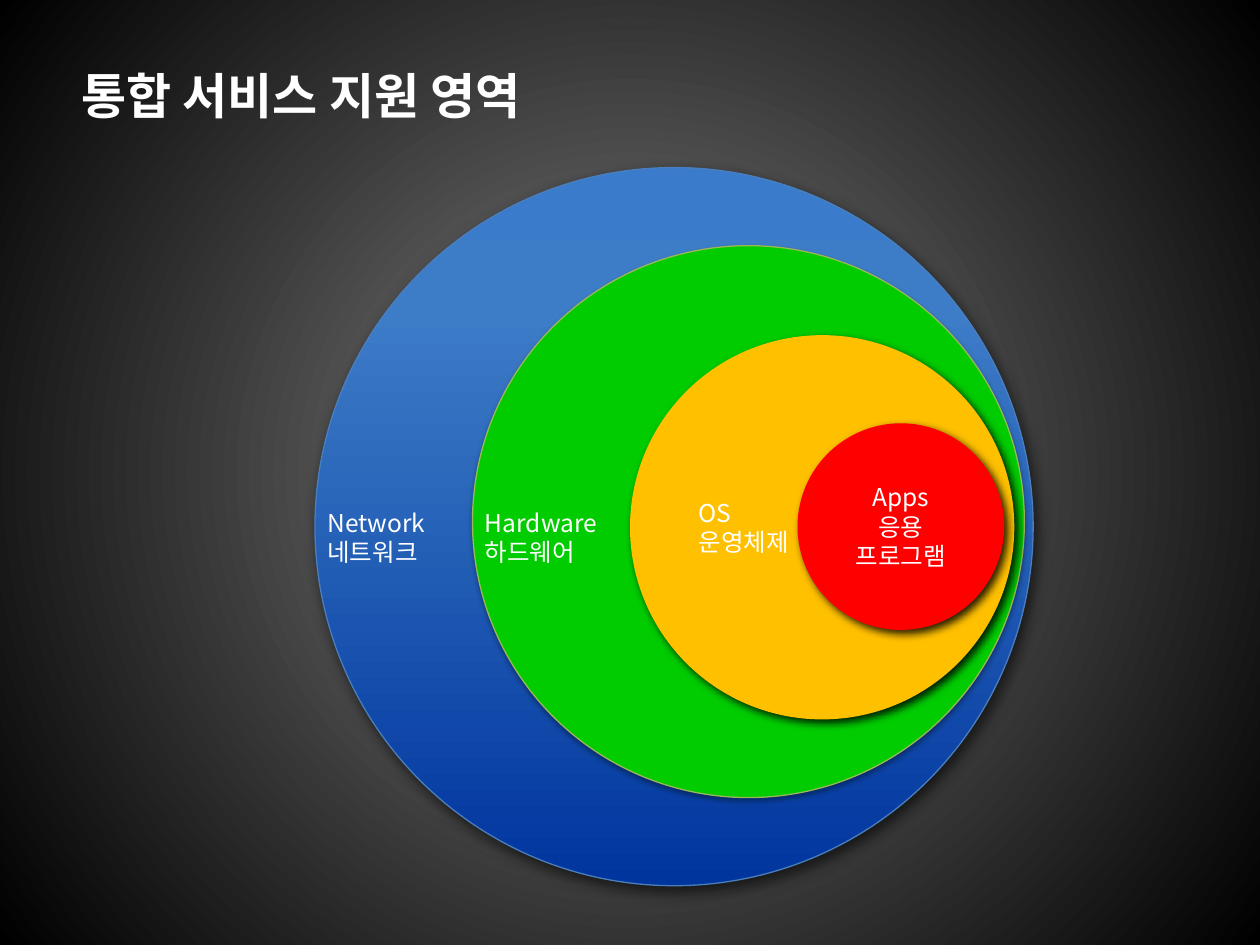
from lxml import etree
from pptx import Presentation
from pptx.dml.color import RGBColor
from pptx.enum.shapes import MSO_SHAPE
from pptx.enum.text import MSO_ANCHOR, MSO_AUTO_SIZE, PP_ALIGN
from pptx.oxml.ns import qn
from pptx.util import Inches, Pt

OVAL = MSO_SHAPE.OVAL
MIDDLE = MSO_ANCHOR.MIDDLE
GROW = MSO_AUTO_SIZE.SHAPE_TO_FIT_TEXT
LEFT, CENTER = PP_ALIGN.LEFT, PP_ALIGN.CENTER
FONT = "Noto Sans CJK KR"
WHITE = "FFFFFF"
DEEP_SHADOW = (84, 5, 3, 45)


def color(value):
    return RGBColor.from_string(value)


def add_element(parent, tag, **attributes):
    values = {name: str(value) for name, value in attributes.items()}
    return etree.SubElement(parent, qn(tag), values)


def set_gradient(fill_element, stops):
    stop_list = fill_element.find(qn("a:gsLst"))
    for stop in list(stop_list):
        stop_list.remove(stop)
    for position, value in stops:
        stop = add_element(stop_list, "a:gs", pos=position * 1000)
        add_element(stop, "a:srgbClr", val=value)


def set_background(slide):
    fill = slide.background.fill
    fill.gradient()
    gradient = slide.element.find(".//" + qn("a:gradFill"))
    set_gradient(gradient, [(0, "7F7F7F"), (100, "000000")])
    gradient.remove(gradient.find(qn("a:lin")))
    circle = add_element(gradient, "a:path", path="circle")
    add_element(circle, "a:fillToRect", l=50000, t=50000, r=50000, b=50000)


def set_shadow(shape, opacity, blur, distance, angle):
    shape.shadow.inherit = False
    effects = shape.element.spPr.find(qn("a:effectLst"))
    shadow = add_element(effects, "a:outerShdw", blurRad=Pt(blur), dist=Pt(distance),
                         dir=angle * 60000, algn="ctr", rotWithShape=0)
    shade = add_element(shadow, "a:srgbClr", val="000000")
    add_element(shade, "a:alpha", val=opacity * 1000)


def write_text(frame, text, size=14, bold=False, alignment=LEFT):
    frame.word_wrap = True
    frame.text = text
    for paragraph in frame.paragraphs:
        paragraph.alignment = alignment
        font = paragraph.font
        font.size, font.bold, font.name = Pt(size), bold, FONT
        font.color.rgb = color(WHITE)
        properties = paragraph._p.pPr.find(qn("a:defRPr"))
        add_element(properties, "a:ea", typeface=FONT)


def add_circle(slide, left, top, diameter, fill, shadow, line=None):
    circle = slide.shapes.add_shape(OVAL, Inches(left), Inches(top),
                                    Inches(diameter), Inches(diameter))
    if isinstance(fill, str):
        circle.fill.solid()
        circle.fill.fore_color.rgb = color(fill)
    else:
        circle.fill.gradient()
        circle.fill.gradient_angle = 90
        set_gradient(circle.element.spPr.find(qn("a:gradFill")), fill)
    if line:
        circle.line.color.rgb = color(line)
        circle.line.width = Pt(0.75)
    else:
        circle.line.fill.background()
    set_shadow(circle, *shadow)
    return circle


def label_circle(circle, text, alignment):
    circle.text_frame.vertical_anchor = MIDDLE
    write_text(circle.text_frame, text, alignment=alignment)


def add_label(slide, left, top, width, height, text, **style):
    box = slide.shapes.add_textbox(Inches(left), Inches(top), Inches(width), Inches(height))
    write_text(box.text_frame, text, **style)
    box.text_frame.auto_size = GROW


def main():
    presentation = Presentation()
    presentation.slide_width, presentation.slide_height = Inches(10), Inches(7.5)
    slide = presentation.slides.add_slide(presentation.slide_layouts[6])
    set_background(slide)

    network_fill = [(0, "00359E"), (80, "3D7CC7"), (100, "3A7CCB")]
    add_circle(slide, 2.5, 1.33, 5.7, network_fill, (62, 8, 4, 60), "4B7EBC")
    add_circle(slide, 3.75, 1.95, 4.38, "00CC00", (35, 3.1, 1.8, 90), "98B955")
    system = add_circle(slide, 5, 2.66, 3.05, "FFC000", DEEP_SHADOW)
    label_circle(system, "OS\n운영체제", LEFT)
    apps = add_circle(slide, 6.33, 3.36, 1.64, "FF0000", DEEP_SHADOW)
    label_circle(apps, "Apps\v응용\v프로그램", CENTER)

    add_label(slide, 3.75, 3.98, 1.33, 0.81, "Hardware\n하드웨어")
    add_label(slide, 2.5, 3.98, 1.33, 0.81, "Network\v네트워크")
    add_label(slide, 0.55, 0.47, 4.69, 0.57, "통합 서비스 지원 영역", size=28, bold=True)
    presentation.save("out.pptx")


if __name__ == "__main__":
    main()
